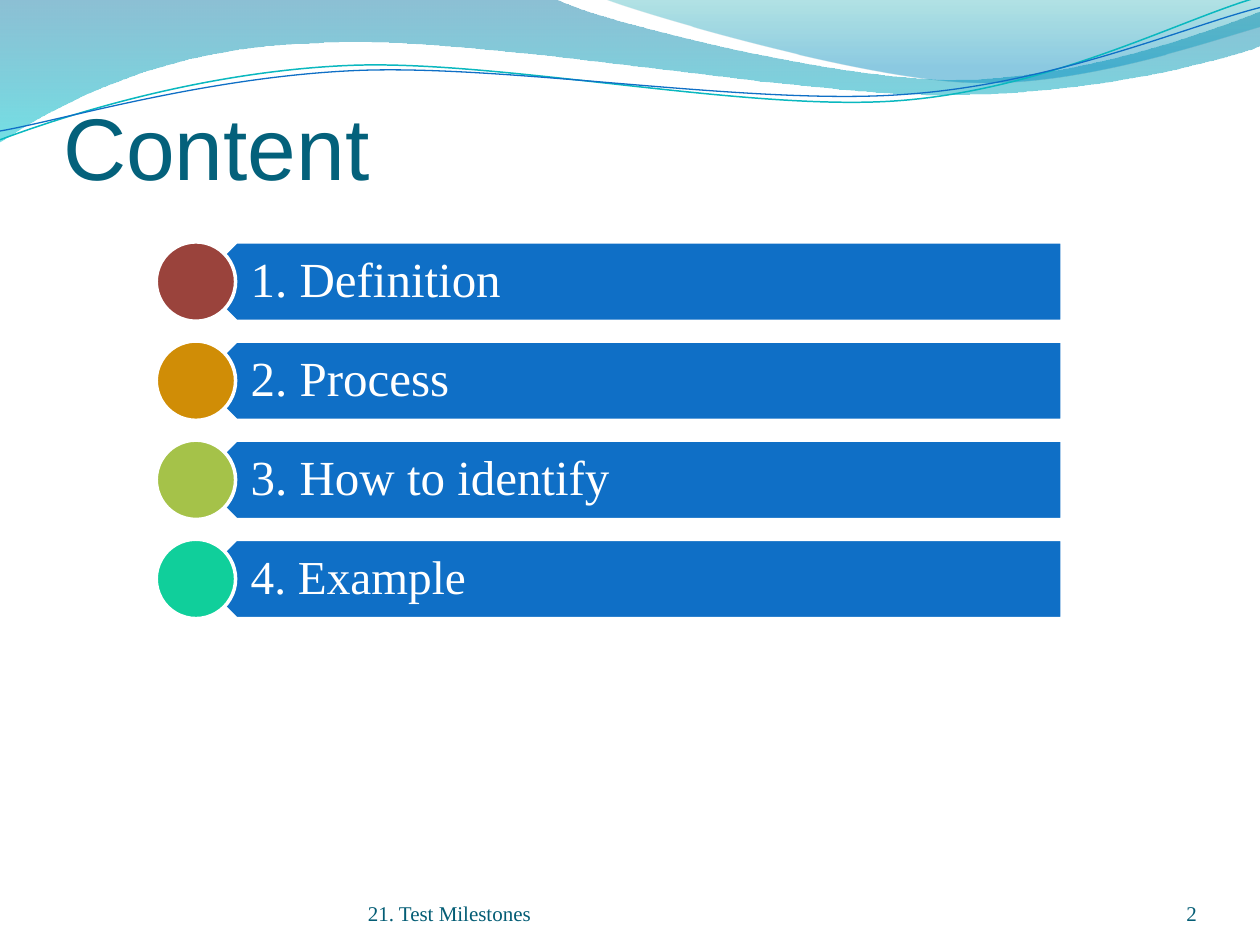
from dataclasses import dataclass

from lxml.etree import Element, SubElement
from pptx import Presentation
from pptx.dml.color import RGBColor
from pptx.enum.shapes import MSO_SHAPE
from pptx.enum.text import MSO_ANCHOR, MSO_AUTO_SIZE, PP_ALIGN
from pptx.oxml.ns import qn
from pptx.util import Inches, Pt

COLORS = {
    "white": "FFFFFF", "title": "04617B", "footer": "045D75", "bar": "0F6FC6",
    "teal_line": "0AB8BF", "red": "9A433C", "amber": "D08D06",
    "green": "A5C249", "mint": "10CF9B", "deep_blue": "0074A1",
    "cyan": "00C6CF", "teal": "00A1A9", "sky": "008BBF",
}
SERIF = "Times New Roman"
FIRST_TOP, LAST_TOP, BAR_HEIGHT = 1.92, 4.28, 0.63


@dataclass
class GradientStop:
    position: float
    color: str
    opacity: int


@dataclass
class Wave:
    points: list
    stops: tuple = ()
    line: str = ""
    line_width: float = 0


@dataclass
class Item:
    text: str
    color: str
    size: int = 28


@dataclass
class TextStyle:
    size: int
    color: str
    font: str = SERIF
    anchor: MSO_ANCHOR = MSO_ANCHOR.BOTTOM
    align: PP_ALIGN = PP_ALIGN.LEFT
    margins: tuple = (0, 0, 0, 0)
    spacing: float = 1.0


WAVES = [
    Wave([(0, 0), (4.4, -0.01),
          (4.76, 0.17, 6.64, 0.63, 7.58, 0.63), (8.53, 0.63, 9.58, 0.26, 10, 0.09),
          (10.01, 0.36),
          (9.83, 0.44, 8.7, 0.76, 7.46, 0.75), (6.22, 0.75, 3.82, 0.28, 2.57, 0.34),
          (1.29, 0.36, 0.46, 0.83, -0.01, 1.13), (0, 0)],
         (GradientStop(0, "deep_blue", 45), GradientStop(1, "cyan", 55))),
    Wave([(4.79, -0.01), (5.09, 0.11, 6.82, 0.62, 7.69, 0.65),
          (8.56, 0.69, 9.61, 0.32, 10, 0.21), (10, 0), (4.79, -0.01)],
         (GradientStop(0, "teal", 30), GradientStop(0.8, "sky", 45))),
    Wave([(0, 1.11), (0.48, 0.93, 1.58, 0.57, 2.77, 0.52),
          (3.95, 0.47, 5.93, 0.89, 7.13, 0.8), (8.33, 0.71, 9.38, 0.15, 9.98, -0.02)],
         line="teal_line", line_width=0.85),
    Wave([(0, 1.04), (0.47, 0.96, 1.64, 0.61, 2.83, 0.56),
          (4.03, 0.51, 5.97, 0.84, 7.17, 0.75), (8.36, 0.67, 9.41, 0.21, 10, 0.06)],
         line="bar", line_width=0.75),
]
ITEMS = [
    Item("1. Definition", "red"),
    Item("2. Process", "amber"),
    Item("3. How to identify", "green"),
    Item("4. Example", "mint", 27),
]


def rgb(name: str) -> RGBColor:
    return RGBColor.from_string(COLORS[name])


def bend_segments(shape, points: list) -> None:
    segments = list(shape.element.spPr.iter(qn("a:lnTo")))
    for segment, point in zip(segments, points[1:]):
        if len(point) == 2:
            continue
        curve = Element(qn("a:cubicBezTo"))
        for x, y in zip(point[::2], point[1::2]):
            SubElement(curve, qn("a:pt"), x=str(Inches(x) - shape.left),
                       y=str(Inches(y) - shape.top))
        segment.getparent().replace(segment, curve)


def draw_wave(slide, wave: Wave) -> None:
    vertices = [tuple(map(Inches, point[-2:])) for point in wave.points]
    builder = slide.shapes.build_freeform(*vertices[0])
    builder.add_line_segments(vertices[1:], close=bool(wave.stops))
    shape = builder.convert_to_shape()
    bend_segments(shape, wave.points)
    shape.shadow.inherit = False
    if not wave.stops:
        shape.fill.background()
        shape.line.color.rgb = rgb(wave.line)
        shape.line.width = Pt(wave.line_width)
        return
    shape.line.fill.background()
    shape.fill.gradient()
    shape.fill.gradient_angle = 270
    for gradient_stop, stop in zip(shape.fill.gradient_stops, wave.stops):
        gradient_stop.position = stop.position
        gradient_stop.color.rgb = rgb(stop.color)
    for color, stop in zip(shape.element.spPr.iter(qn("a:srgbClr")), wave.stops):
        SubElement(color, qn("a:alpha"), val=str(stop.opacity * 1000))


def set_text(shape, text: str, style: TextStyle) -> None:
    frame = shape.text_frame
    frame.text = text
    paragraph = frame.paragraphs[0]
    font = paragraph.runs[0].font
    left, top, right, bottom = map(Inches, style.margins)
    formats = {
        frame: {"word_wrap": True, "auto_size": MSO_AUTO_SIZE.NONE,
                "vertical_anchor": style.anchor, "margin_left": left,
                "margin_top": top, "margin_right": right, "margin_bottom": bottom},
        paragraph: {"alignment": style.align, "line_spacing": style.spacing},
        font: {"name": style.font, "size": Pt(style.size)},
    }
    for target, values in formats.items():
        for name, value in values.items():
            setattr(target, name, value)
    font.color.rgb = rgb(style.color)


def add_text(slide, box: tuple, text: str, style: TextStyle) -> None:
    set_text(slide.shapes.add_textbox(*map(Inches, box)), text, style)


def add_outlined(slide, kind: MSO_SHAPE, box: tuple, color: str, rotation: int = 0) -> None:
    shape = slide.shapes.add_shape(kind, *map(Inches, box))
    shape.rotation = rotation
    shape.shadow.inherit = False
    shape.fill.solid()
    shape.fill.fore_color.rgb = rgb(color)
    shape.line.color.rgb = rgb("white")
    shape.line.width = Pt(2)


def draw_item(slide, item: Item, top: float) -> None:
    add_outlined(slide, MSO_SHAPE.PENTAGON, (1.56, top, 6.87, BAR_HEIGHT), "bar", 180)
    add_text(slide, (1.71, top, 6.71, BAR_HEIGHT), item.text,
             TextStyle(item.size, "white", anchor=MSO_ANCHOR.MIDDLE,
                       margins=(0.28, 0.12, 0.22, 0.12), spacing=0.9))
    add_outlined(slide, MSO_SHAPE.OVAL, (1.24, top, BAR_HEIGHT, BAR_HEIGHT), item.color)


def main() -> None:
    presentation = Presentation()
    presentation.slide_width, presentation.slide_height = Inches(10), Inches(7.5)
    slide = presentation.slides.add_slide(presentation.slide_layouts[5])
    for wave in WAVES:
        draw_wave(slide, wave)

    title = slide.shapes.title
    title_box = {"left": 0.5, "top": 0.67, "width": 9, "height": 0.9}
    for name, value in title_box.items():
        setattr(title, name, Inches(value))
    set_text(title, "Content", TextStyle(50, "title", "Arial", margins=(0, 0.05, 0, 0)))
    slide.shapes.element.append(title.element)

    add_text(slide, (2.92, 6.95, 3.67, 0.4), "21. Test Milestones", TextStyle(12, "footer"))
    add_text(slide, (8.67, 6.95, 0.83, 0.4), "2",
             TextStyle(12, "footer", align=PP_ALIGN.RIGHT))
    pitch = (LAST_TOP - FIRST_TOP) / (len(ITEMS) - 1)
    for index, item in enumerate(ITEMS):
        draw_item(slide, item, FIRST_TOP + index * pitch)
    presentation.save("out.pptx")


if __name__ == "__main__":
    main()
